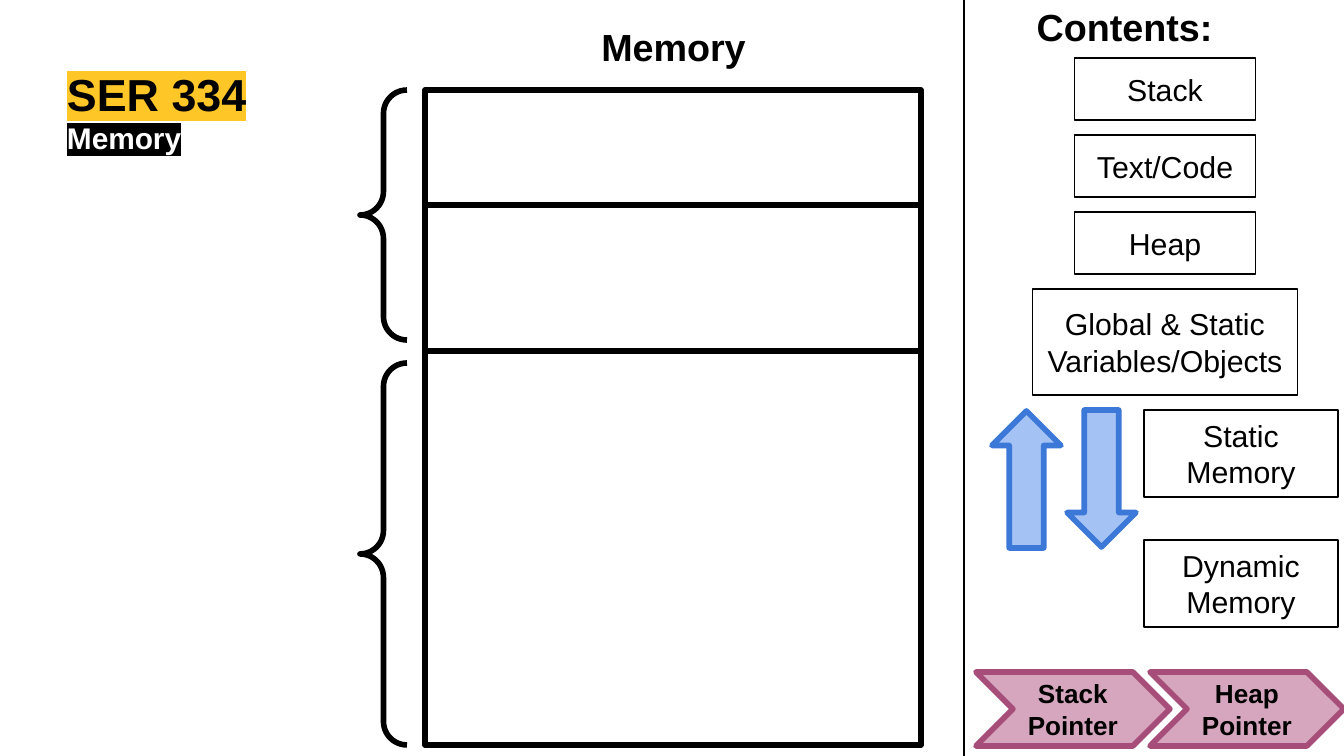
from lxml.etree import SubElement
from pptx import Presentation
from pptx.dml.color import RGBColor
from pptx.enum.shapes import MSO_CONNECTOR, MSO_SHAPE as Preset
from pptx.enum.text import MSO_ANCHOR, MSO_AUTO_SIZE, PP_ALIGN
from pptx.oxml.ns import qn
from pptx.util import Pt

PX = 914400 / 134.4


class Theme:
    font = "Arial"
    black, white, gold = "000000", "FFFFFF", "FFC627"
    arrow_fill, arrow_line = "A4C2F4", "3C78D8"
    pointer_fill, pointer_line = "D5A6BD", "A64D79"
    title, subtitle, heading, card, pointer = 24, 16, 20.2, 16.2, 14
    thin, thick = 0.75, 3


# Content: text and px boxes (left, top, width, height)
TITLE = ("SER 334", (67, 67, 652, 52))
SUBTITLE = ("Memory", (67, 120, 875, 39))
HEADINGS = [("Memory", (462, 9, 423, 74)), ("Contents:", (913, -11, 423, 74))]
MEMORY = (425, 90, 496, 655)
DIVIDERS = [205, 351]
BRACES = [(90, 250), (363, 382)]  # top, height
SEPARATOR = (964, -13, 964, 761)
CARDS = [  # text, width, height, stacked from the top
    ("Stack", 181, 62),
    ("Text/Code", 181, 62),
    ("Heap", 181, 62),
    ("Global & Static Variables/Objects", 265, 106),
]
CARD_TOP, CARD_GAP, CARD_CENTER = 58, 15, 1165
KINDS = [("Static Memory", 410), ("Dynamic Memory", 540)]
ARROWS = [(992, 411, 0), (1067, 410, 180)]  # left, top, rotation
POINTERS = ["Stack Pointer", "Heap Pointer"]
POINTER_LEFT, POINTER_PITCH = 976, 174


def emu(*lengths):
    return [round(length * PX) for length in lengths]


def rgb(value):
    return RGBColor.from_string(value)


def write(shape, text, size, color=Theme.black, bold=False,
          align=PP_ALIGN.CENTER, anchor=MSO_ANCHOR.MIDDLE, inset=13):
    frame = shape.text_frame
    frame.word_wrap = True
    frame.auto_size = MSO_AUTO_SIZE.NONE
    frame.vertical_anchor = anchor
    frame.margin_left, frame.margin_top, frame.margin_right, frame.margin_bottom = emu(*[inset] * 4)
    frame.text = text
    paragraph = frame.paragraphs[0]
    paragraph.alignment = align
    paragraph.space_before = Pt(0)
    font = paragraph.font
    font.name, font.size, font.bold = Theme.font, Pt(size), bold
    font.color.rgb = rgb(color)
    return paragraph


def add_shape(preset, box, line=Theme.black, width=Theme.thick, fill=None):
    shape = slide.shapes.add_shape(preset, *emu(*box))
    shape.shadow.inherit = False
    shape.line.color.rgb = rgb(line)
    shape.line.width = Pt(width)
    if fill:
        shape.fill.solid()
        shape.fill.fore_color.rgb = rgb(fill)
    else:
        shape.fill.background()
    return shape


def add_line(ends, width):
    line = slide.shapes.add_connector(MSO_CONNECTOR.STRAIGHT, *emu(*ends))
    line.line.color.rgb = rgb(Theme.black)
    line.line.width = Pt(width)
    SubElement(line._element.spPr, qn("a:effectLst"))


def add_card(text, box):
    write(add_shape(Preset.RECTANGLE, box, width=Theme.thin), text, Theme.card)


def fill_placeholder(shape, content, size, color, highlight):
    text, box = content
    shape.left, shape.top, shape.width, shape.height = emu(*box)
    paragraph = write(shape, text, size, color, True, PP_ALIGN.LEFT, MSO_ANCHOR.TOP, 0)
    properties = paragraph.runs[0]._r.get_or_add_rPr()
    SubElement(SubElement(properties, qn("a:highlight")), qn("a:srgbClr"), val=highlight)


presentation = Presentation()
presentation.slide_width, presentation.slide_height = emu(1344, 756)
slide = presentation.slides.add_slide(presentation.slide_layouts[0])

# Highlighted title and subtitle
fill_placeholder(slide.shapes.title, TITLE, Theme.title, Theme.black, Theme.gold)
fill_placeholder(slide.placeholders[1], SUBTITLE, Theme.subtitle, Theme.white, Theme.black)

# Column headings
for text, box in HEADINGS:
    write(slide.shapes.add_textbox(*emu(*box)), text, Theme.heading, bold=True)

# Memory block with its sections and braces
left, top, width, height = MEMORY
add_shape(Preset.RECTANGLE, MEMORY, fill=Theme.white)
for y in DIVIDERS:
    add_line((left, y, left + width, y), Theme.thick)
for top, height in BRACES:
    brace = add_shape(Preset.LEFT_BRACE, (360, top, 47, height))
    brace.adjustments[0] = brace.adjustments[1] = 0.5

# Contents panel
add_line(SEPARATOR, Theme.thin)
top = CARD_TOP
for text, width, height in CARDS:
    add_card(text, (CARD_CENTER - width / 2, top, width, height))
    top += height + CARD_GAP
for text, top in KINDS:
    add_card(text, (1144, top, 194, 87))

# Growth arrows
for left, top, rotation in ARROWS:
    arrow = add_shape(Preset.UP_ARROW, (left, top, 69, 137),
                      Theme.arrow_line, fill=Theme.arrow_fill)
    arrow.rotation = rotation

# Pointers
for index, text in enumerate(POINTERS):
    box = (POINTER_LEFT + index * POINTER_PITCH, 672, 194, 74)
    pointer = add_shape(Preset.CHEVRON, box, Theme.pointer_line, fill=Theme.pointer_fill)
    write(pointer, text, Theme.pointer, bold=True)

presentation.save("out.pptx")
